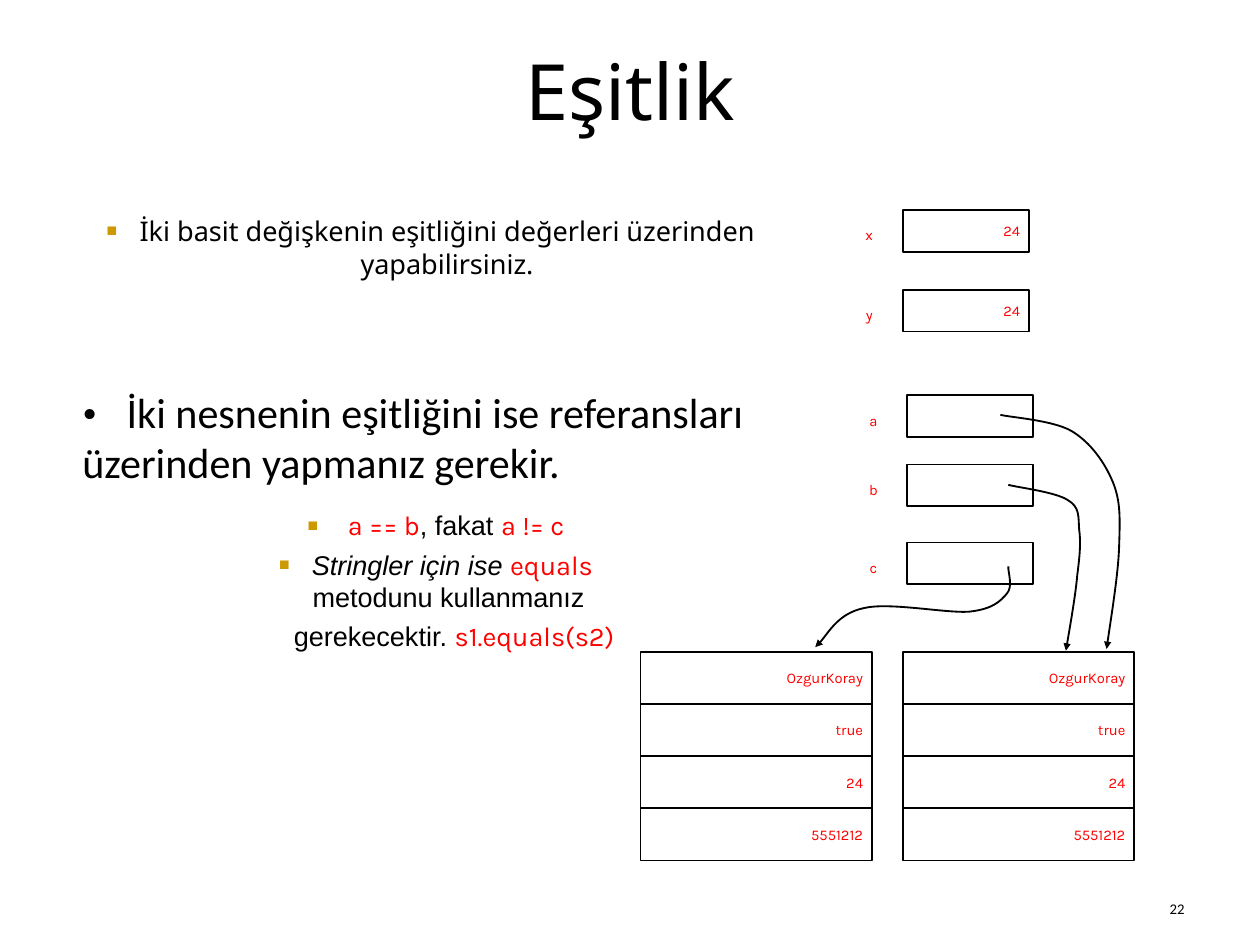
from dataclasses import dataclass
from typing import Any, NamedTuple

from lxml.etree import SubElement
from pptx import Presentation
from pptx.dml.color import RGBColor
from pptx.enum.shapes import MSO_SHAPE
from pptx.enum.text import MSO_ANCHOR, MSO_AUTO_SIZE, PP_ALIGN
from pptx.oxml.ns import qn
from pptx.util import Inches, Pt

WIDE, HIGH = Inches(14.22), Inches(10.66)
COL, ROW = WIDE / 100, HIGH / 100  # all places are in a 100 by 100 grid


@dataclass(frozen=True)
class Theme:
    ink: str = "000000"
    code: str = "FF0000"
    mark: str = "CC9900"
    head: float = 63
    lead: float = 34.2
    body: float = 22
    small: float = 12
    line: float = 1.5


THEME = Theme()


class Area(NamedTuple):
    col: float
    row: float
    cols: float
    rows: float


class Span(NamedTuple):
    text: str
    font: str = "Karla"
    color: str = THEME.code
    size: float = THEME.small
    italic: bool = False


class Para(NamedTuple):
    spans: list[Span]
    align: Any = PP_ALIGN.CENTER
    before: float = 0
    margin: float = 0
    bullet: bool = False
    tab: float = 0


class Slot(NamedTuple):
    name: str
    value: str
    col: float
    row: float


def assign(target: Any, values: dict[str, Any]) -> None:
    for name, value in values.items():
        setattr(target, name, value)


def place(shape: Any, area: Area) -> None:
    assign(shape, {
        "left": round(area.col * COL), "top": round(area.row * ROW),
        "width": round(area.cols * COL), "height": round(area.rows * ROW),
    })


def style(para: Any, item: Para) -> None:
    """Set the spacing, indent, bullet and tab stop of a paragraph."""
    assign(para, {"alignment": item.align, "space_before": Pt(item.before)})
    props = para._p.get_or_add_pPr()
    margin = Inches(item.margin)
    props.set("marL", str(margin))
    props.set("indent", str(-margin if item.bullet else 0))
    if item.bullet:
        color = SubElement(props, qn("a:buClr"))
        SubElement(color, qn("a:srgbClr"), val=THEME.mark)
        SubElement(props, qn("a:buSzPct"), val="65000")
        SubElement(props, qn("a:buFont"), typeface="Arial")
        SubElement(props, qn("a:buChar"), char="■")
    else:
        SubElement(props, qn("a:buNone"))
    if item.tab:
        stops = SubElement(props, qn("a:tabLst"))
        SubElement(stops, qn("a:tab"), pos=str(Inches(item.tab)), algn="l")


def write(shape: Any, items: list[Para], anchor: Any = MSO_ANCHOR.MIDDLE) -> None:
    frame = shape.text_frame
    assign(frame, {
        "word_wrap": True, "auto_size": MSO_AUTO_SIZE.NONE,
        "vertical_anchor": anchor,
        "margin_left": Inches(0.1), "margin_right": Inches(0.1),
        "margin_top": Inches(0.05), "margin_bottom": Inches(0.05),
    })
    for index, item in enumerate(items):
        para = frame.add_paragraph() if index else frame.paragraphs[0]
        style(para, item)
        for span in item.spans:
            if span.text == "\n":
                para.add_line_break()
                continue
            run = para.add_run()
            run.text = span.text
            assign(run.font, {"name": span.font, "size": Pt(span.size),
                              "italic": span.italic, "bold": False})
            run.font.color.rgb = RGBColor.from_string(span.color)


def add_text(slide: Any, area: Area, items: list[Para],
             anchor: Any = MSO_ANCHOR.MIDDLE) -> None:
    box = slide.shapes.add_textbox(0, 0, 0, 0)
    place(box, area)
    write(box, items, anchor)


def outline(shape: Any) -> None:
    shape.shadow.inherit = False
    shape.fill.background()
    shape.line.color.rgb = RGBColor.from_string(THEME.ink)
    shape.line.width = Pt(THEME.line)


def add_box(slide: Any, kind: Any, area: Area, value: str) -> None:
    box = slide.shapes.add_shape(kind, 0, 0, 0, 0)
    place(box, area)
    outline(box)
    if value:
        write(box, [Para([Span(value)], PP_ALIGN.RIGHT)])


def add_slot(slide: Any, slot: Slot) -> None:
    """Draw a variable: its box and, to the left, its name."""
    add_box(slide, MSO_SHAPE.FLOWCHART_PROCESS,
            Area(slot.col, slot.row, 10, 4.41), slot.value)
    add_text(slide, Area(slot.col - 4.5, slot.row + 1.22, 3.66, 2.81),
             [Para([Span(slot.name)])])


def add_curve(slide: Any, knots: list[tuple[float, float]]) -> None:
    """Draw an arrow along joined cubic curves; each adds three knots."""
    spots = [(round(x * COL), round(y * ROW)) for x, y in knots]
    maker = slide.shapes.build_freeform(*spots[0])
    maker.add_line_segments(spots[1:], close=False)
    curve = maker.convert_to_shape()
    outline(curve)
    route = next(curve._element.iter(qn("a:path")))
    lines = route.findall(qn("a:lnTo"))
    for first in range(0, len(lines), 3):
        bend = SubElement(route, qn("a:cubicBezTo"))
        for line in lines[first:first + 3]:
            bend.append(line[0])
            route.remove(line)
    SubElement(curve.line._get_or_add_ln(), qn("a:tailEnd"), type="triangle")


SLOTS = [
    Slot("x", "24", 71.66, 22.23), Slot("y", "24", 71.66, 30.68),
    Slot("a", "", 72, 41.84), Slot("b", "", 72, 49.16), Slot("c", "", 72, 57.41),
]
FIELDS = ["OzgurKoray", "true", "24", "5551212"]
CURVES = [
    [(79.4, 43.9), (80.31, 44.18), (83.54, 44.47), (85.02, 45.59),
     (86.57, 46.81), (87.69, 48.97), (88.33, 51.03),
     (88.96, 53.1), (88.89, 54.97), (88.82, 57.88),
     (88.75, 60.79), (88.05, 66.42), (87.83, 68.67)],
    [(80.03, 51.31), (80.8, 51.59), (83.76, 52.06), (84.74, 52.91),
     (85.72, 53.66), (85.58, 54.69), (85.65, 56),
     (85.79, 57.32), (85.72, 58.63), (85.51, 60.79),
     (85.37, 62.95), (84.81, 67.17), (84.6, 68.86)],
    [(80.03, 59.94), (79.96, 60.41), (80.45, 62.1), (79.89, 62.85),
     (79.4, 63.6), (78.83, 64.45), (76.93, 64.73),
     (75.11, 64.92), (70.6, 63.7), (68.57, 64.35),
     (66.53, 64.92), (65.47, 67.64), (64.7, 68.48)],
]


def plain(text: str, font: str = "Arial", size: float = THEME.body,
          italic: bool = False) -> Span:
    return Span(text, font, THEME.ink, size, italic)


def code(text: str) -> Span:
    return Span(text, size=THEME.body)


def point(spans: list[Span], margin: float = 0.37, bullet: bool = True) -> Para:
    return Para(spans, before=5.5, margin=margin, bullet=bullet)


def main() -> None:
    deck = Presentation()
    assign(deck, {"slide_width": WIDE, "slide_height": HIGH})
    slide = deck.slides.add_slide(deck.slide_layouts[5])
    title = slide.shapes.title
    place(title, Area(5, 4.03, 90, 15.38))
    write(title, [Para([plain("Eşitlik", "Noto Sans", THEME.head)])], MSO_ANCHOR.TOP)
    add_text(slide, Area(5.84, 22.23, 56.68, 14.45), [point([plain(
        "İki basit değişkenin eşitliğini değerleri üzerinden yapabilirsiniz.",
        "Noto Sans")])], MSO_ANCHOR.TOP)
    add_text(slide, Area(5.84, 53.38, 57.52, 36.68), [
        point([plain(" "), code("a == b"), plain(", fakat "), code("a != c")]),
        point([plain("Stringler için ise ", italic=True), code("equals"),
               plain("\n"), plain("metodunu kullanmanız ")]),
        point([plain("gerekecektir. "), code("s1.equals(s2)")], 0.41, False),
    ], MSO_ANCHOR.TOP)
    add_text(slide, Area(5.84, 37.71, 60, 16.98), [Para([
        plain("•\t", "Times New Roman", THEME.lead),
        plain("İki nesnenin eşitliğini ise referansları üzerinden yapmanız gerekir.",
              "Calibri", THEME.lead)], PP_ALIGN.LEFT, before=15, tab=0.54)])
    for slot in SLOTS:
        add_slot(slide, slot)
    for col in (71.66, 50.84):
        for index, value in enumerate(FIELDS):
            add_box(slide, MSO_SHAPE.RECTANGLE,
                    Area(col, 68.95 + index * 5.53, 18.35, 5.53), value)
    for knots in CURVES:
        add_curve(slide, knots)
    add_text(slide, Area(91.84, 94.18, 3.16, 3.94),
             [Para([plain("22", "Calibri", THEME.small)])])
    deck.save("out.pptx")


if __name__ == "__main__":
    main()
